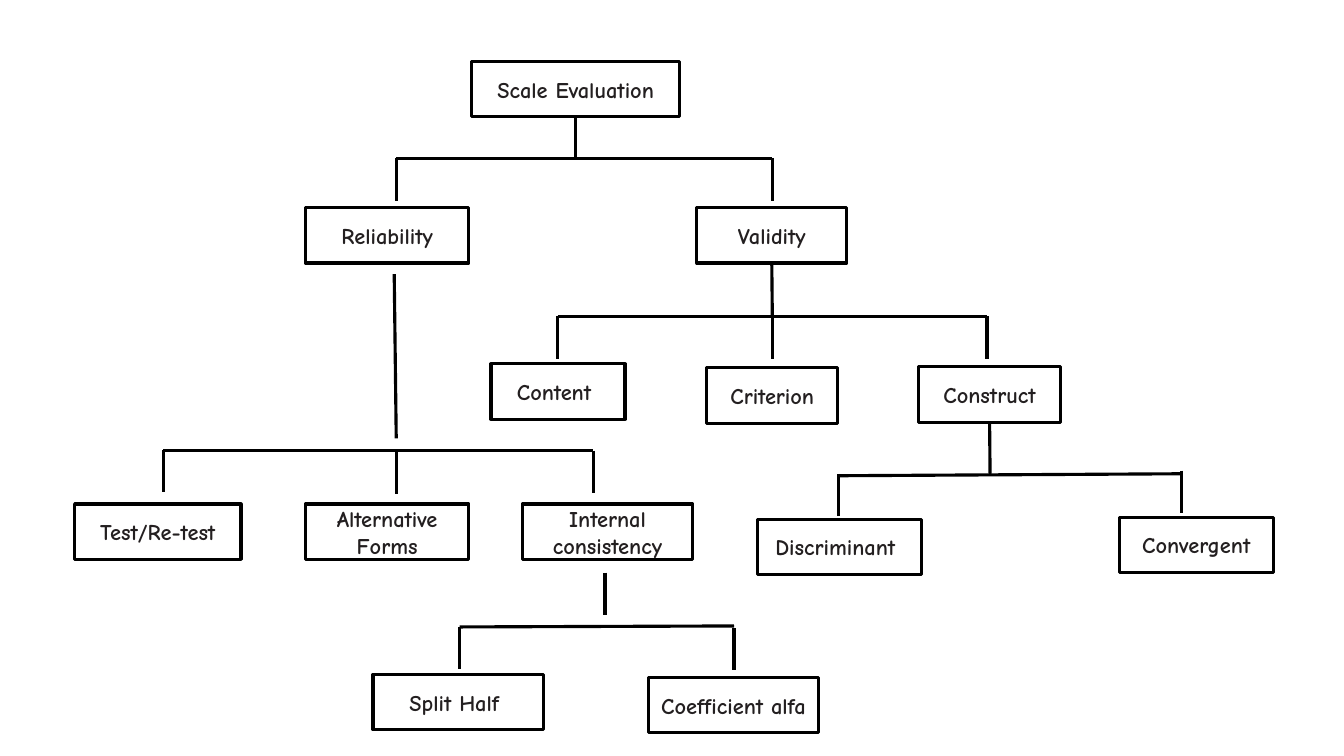
from dataclasses import dataclass

from lxml.etree import SubElement
from pptx import Presentation
from pptx.dml.color import RGBColor
from pptx.enum.shapes import MSO_CONNECTOR, MSO_SHAPE
from pptx.enum.text import MSO_ANCHOR, PP_ALIGN
from pptx.oxml.ns import qn
from pptx.util import Pt

PX = 9144  # EMU per px, 100 px to the inch
BOX_H = 55
BOTTOM = 2


@dataclass(frozen=True)
class Theme:
    ink: RGBColor = RGBColor(0x23, 0x1F, 0x20)
    line: RGBColor = RGBColor(0, 0, 0)
    font: str = "Comic Neue"
    size: float = 16
    stroke: float = 2.25


THEME = Theme()

# text, left, top, width
BOXES = [
    ("Scale Evaluation", 468, 61, 206),
    ("Reliability", 303, 206, 162),
    ("Validity", 691, 206, 149),
    ("Content ", 487, 361, 133),
    ("Criterion", 701, 365, 130),
    ("Construct", 911, 364, 141),
    ("Test/Re-test", 74, 500, 165),
    ("Alternative Forms", 303, 500, 162),
    ("Internal consistency", 518, 500, 169),
    ("Discriminant ", 751, 515, 163),
    ("Convergent", 1110, 513, 153),
    ("Split Half ", 370, 669, 169),
    ("Coefficient alfa ", 643, 672, 169),
]

# joined parent or None, stem, bar, (x, top) of each drop
FORKS = [
    ("Scale Evaluation", (571, 116, 571, 157), (393, 157, 766, 157),
     [(393, 157), (766, 157)]),
    ("Validity", (766, 261, 766, 314), (553, 314, 979, 314),
     [(553, 314), (766, 314), (979, 314)]),
    (None, (391, 272, 393, 435), (162, 447, 588, 447),
     [(162, 446), (393, 448), (589, 447)]),
    ("Construct", (982, 419, 982, 470), (831, 472, 1172, 470),
     [(832, 470), (1172, 467)]),
    (None, (600, 568, 600, 610), (456, 622, 728, 621),
     [(456, 622), (728, 623)]),
]
DROP = 42


def write(shape, text, *, font, size, color, bold=True, align=PP_ALIGN.CENTER):
    frame = shape.text_frame
    frame.word_wrap = True
    frame.vertical_anchor = MSO_ANCHOR.MIDDLE
    para = frame.paragraphs[0]
    para.alignment = align
    run = para.add_run()
    run.text = text
    run.font.name = font
    run.font.size = Pt(size)
    run.font.bold = bold
    run.font.color.rgb = color


def ink_line(line):
    line.color.rgb = THEME.line
    line.width = Pt(THEME.stroke)


def add_box(slide, text, left, top, width):
    box = slide.shapes.add_shape(
        MSO_SHAPE.RECTANGLE, left * PX, top * PX, width * PX, BOX_H * PX)
    box.shadow.inherit = False
    box.fill.background()
    ink_line(box.line)
    write(box, text, font=THEME.font, size=THEME.size, color=THEME.ink)
    return box


def add_line(slide, *ends):
    link = slide.shapes.add_connector(
        MSO_CONNECTOR.STRAIGHT, *(end * PX for end in ends))
    ink_line(link.line)
    SubElement(link._element.spPr, qn("a:effectLst"))
    return link


def add_fork(slide, parent, stem, bar, drops):
    """Draw a stem, a cross bar and the drops; join the stem to any parent."""
    link = add_line(slide, *stem)
    if parent is not None:
        link.begin_connect(parent, BOTTOM)
    add_line(slide, *bar)
    for x, top in drops:
        add_line(slide, x, top, x, top + DROP)


def main():
    deck = Presentation()
    deck.slide_width, deck.slide_height = 1333 * PX, 750 * PX
    slide = deck.slides.add_slide(deck.slide_layouts[6])
    boxes = {row[0]: add_box(slide, *row) for row in BOXES}
    for name, *parts in FORKS:
        add_fork(slide, boxes.get(name), *parts)
    deck.save("out.pptx")


if __name__ == "__main__":
    main()
